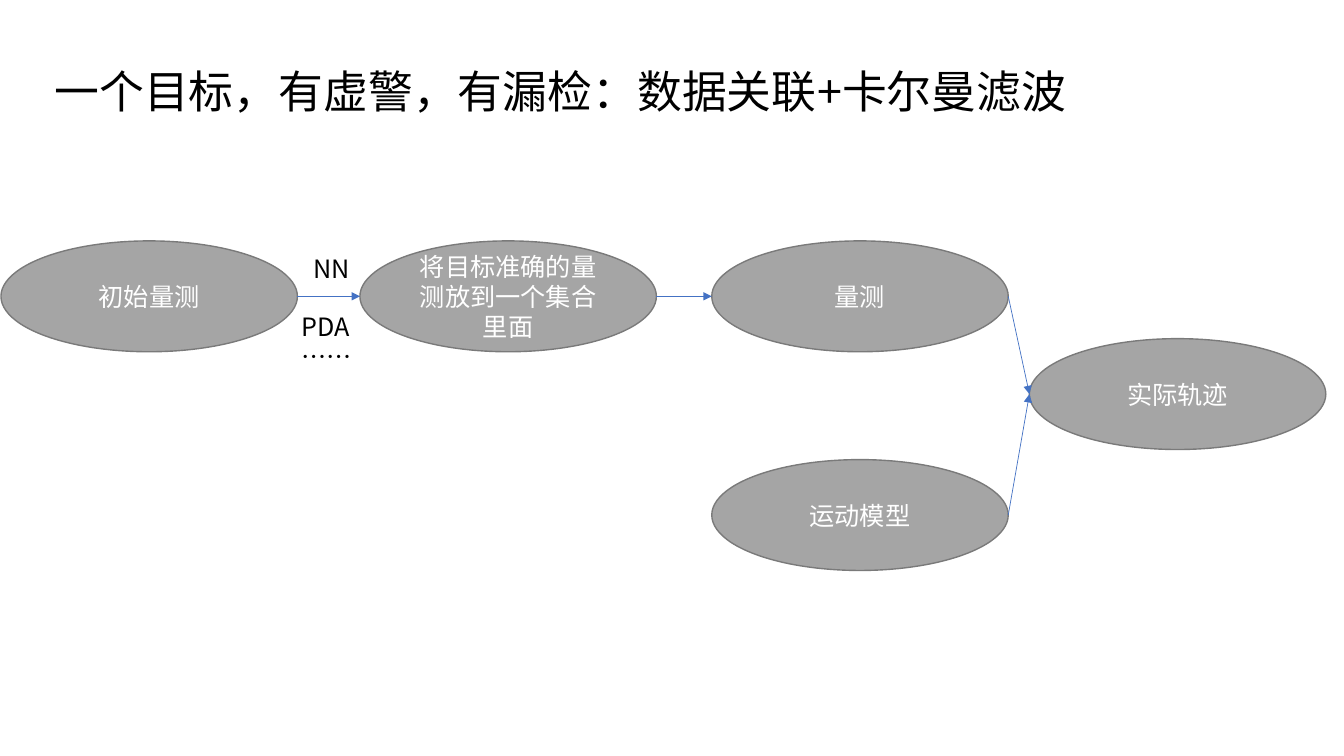
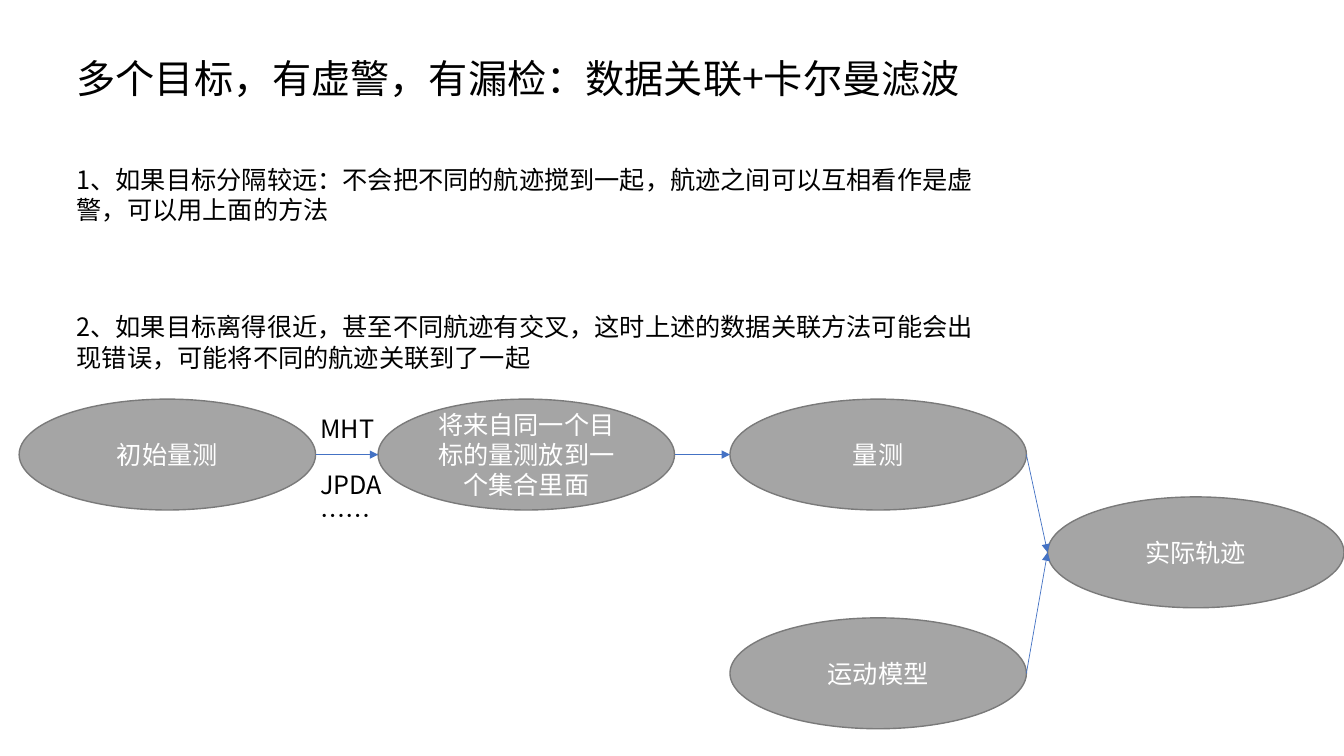
import pptx
import pptx.dml.color
import pptx.enum.shapes
import pptx.enum.text
import pptx.oxml.ns
import pptx.util
from lxml import etree

PX = 9144  # 100 px to the inch
FONT = "Noto Sans CJK SC"
BLACK = pptx.dml.color.RGBColor(0x00, 0x00, 0x00)
WHITE = pptx.dml.color.RGBColor(0xFF, 0xFF, 0xFF)
GREY = pptx.dml.color.RGBColor(0xA5, 0xA5, 0xA5)
DARK_GREY = pptx.dml.color.RGBColor(0x7A, 0x7A, 0x7A)
BLUE = pptx.dml.color.RGBColor(0x44, 0x72, 0xC4)
ALIGN = pptx.enum.text.PP_ALIGN
ANCHOR = pptx.enum.text.MSO_ANCHOR
qn = pptx.oxml.ns.qn

STEP_W, STEP_H = 294, 110
LEFT_SITE, RIGHT_SITE = 2, 6  # connection sites of an ellipse
STEP_OFFSETS = {
    "start": (0, 0),
    "association": (356, 0),
    "measurement": (705, 0),
    "motion": (705, 217),
    "track": (1020, 97),
}
FLOWS = [
    ("start", "association"),
    ("association", "measurement"),
    ("measurement", "track"),
    ("motion", "track"),
]

PAGES = [
    {
        "layout": 5,
        "title": "一个目标，有虚警，有漏检：数据关联+卡尔曼滤波",
        "title_box": (44, 58, 1245, 64),
        "title_size": 32,
        "cases": [],
        "origin": (1, 239),
        "association": "将目标准确的量测放到一个集合里面",
        "methods": [(["NN"], (301, 246, 88, 40)),
                    (["PDA", "……"], (289, 304, 111, 71))],
    },
    {
        "layout": 1,
        "title": "多个目标，有虚警，有漏检：数据关联+卡尔曼滤波",
        "title_box": (66, 49, 1043, 57),
        "title_size": 28,
        "cases": [
            "1、如果目标分隔较远：不会把不同的航迹搅到一起，"
            "航迹之间可以互相看作是虚警，可以用上面的方法",
            "2、如果目标离得很近，甚至不同航迹有交叉，这时上述的数据关联方法"
            "可能会出现错误，可能将不同的航迹关联到了一起",
        ],
        "origin": (19, 396),
        "association": "将来自同一个目标的量测放到一个集合里面",
        "methods": [(["MHT"], (308, 405, 88, 40)),
                    (["JPDA", "……"], (308, 461, 111, 71))],
    },
]


def emu(*lengths):
    return [pptx.util.Emu(length * PX) for length in lengths]


def write(shape, lines, size=18, color=BLACK, align=ALIGN.LEFT, anchor=ANCHOR.TOP, gap=0):
    """Fill a shape with one unbulleted paragraph per line, gap points apart."""
    frame = shape.text_frame
    frame.word_wrap = True
    frame.auto_size = pptx.enum.text.MSO_AUTO_SIZE.NONE
    frame.vertical_anchor = anchor
    frame.text = "\n".join(lines)
    for number, paragraph in enumerate(frame.paragraphs):
        paragraph.alignment = align
        paragraph.space_before = pptx.util.Pt(gap if number else 0)
        properties = paragraph._p.get_or_add_pPr()
        properties.set("marL", "0")
        properties.set("indent", "0")
        etree.SubElement(properties, qn("a:buNone"))
        run = paragraph.runs[0]
        run.font.size = pptx.util.Pt(size)
        run.font.color.rgb = color
        run.font.name = FONT
        etree.SubElement(run._r.get_or_add_rPr(), qn("a:ea"), typeface=FONT)


deck = pptx.Presentation()
deck.slide_width, deck.slide_height = emu(1333, 750)

for page in PAGES:
    slide = deck.slides.add_slide(deck.slide_layouts[page["layout"]])
    shapes = slide.shapes

    title = shapes.title
    title.left, title.top, title.width, title.height = emu(*page["title_box"])
    write(title, [page["title"]], size=page["title_size"])

    if page["cases"]:
        cases = slide.placeholders[1]
        cases.left, cases.top, cases.width, cases.height = emu(66, 158, 910, 217)
        write(cases, page["cases"], gap=62)

    step_texts = {
        "start": "初始量测",
        "association": page["association"],
        "measurement": "量测",
        "motion": "运动模型",
        "track": "实际轨迹",
    }
    origin_x, origin_y = page["origin"]
    steps = {}
    for key, (dx, dy) in STEP_OFFSETS.items():
        step = shapes.add_shape(pptx.enum.shapes.MSO_SHAPE.OVAL,
                                *emu(origin_x + dx, origin_y + dy, STEP_W, STEP_H))
        step.shadow.inherit = False
        step.fill.solid()
        step.fill.fore_color.rgb = GREY
        step.line.color.rgb = DARK_GREY
        step.line.width = pptx.util.Pt(1)
        write(step, [step_texts[key]], color=WHITE, align=ALIGN.CENTER, anchor=ANCHOR.MIDDLE)
        steps[key] = step

    for source_key, target_key in FLOWS:
        source, target = steps[source_key], steps[target_key]
        flow = shapes.add_connector(
            pptx.enum.shapes.MSO_CONNECTOR.STRAIGHT,
            source.left + source.width, source.top + source.height // 2,
            target.left, target.top + target.height // 2)
        flow.line.color.rgb = BLUE
        flow.line.width = pptx.util.Pt(0.5)
        etree.SubElement(flow.line._get_or_add_ln(), qn("a:tailEnd"), type="triangle")
        etree.SubElement(flow._element.spPr, qn("a:effectLst"))
        links = flow._element.find(".//" + qn("p:cNvCxnSpPr"))
        for tag, step, site in (("a:stCxn", source, RIGHT_SITE), ("a:endCxn", target, LEFT_SITE)):
            etree.SubElement(links, qn(tag), id=str(step.shape_id), idx=str(site))

    for names, box in page["methods"]:
        write(shapes.add_textbox(*emu(*box)), names)

deck.save("out.pptx")
